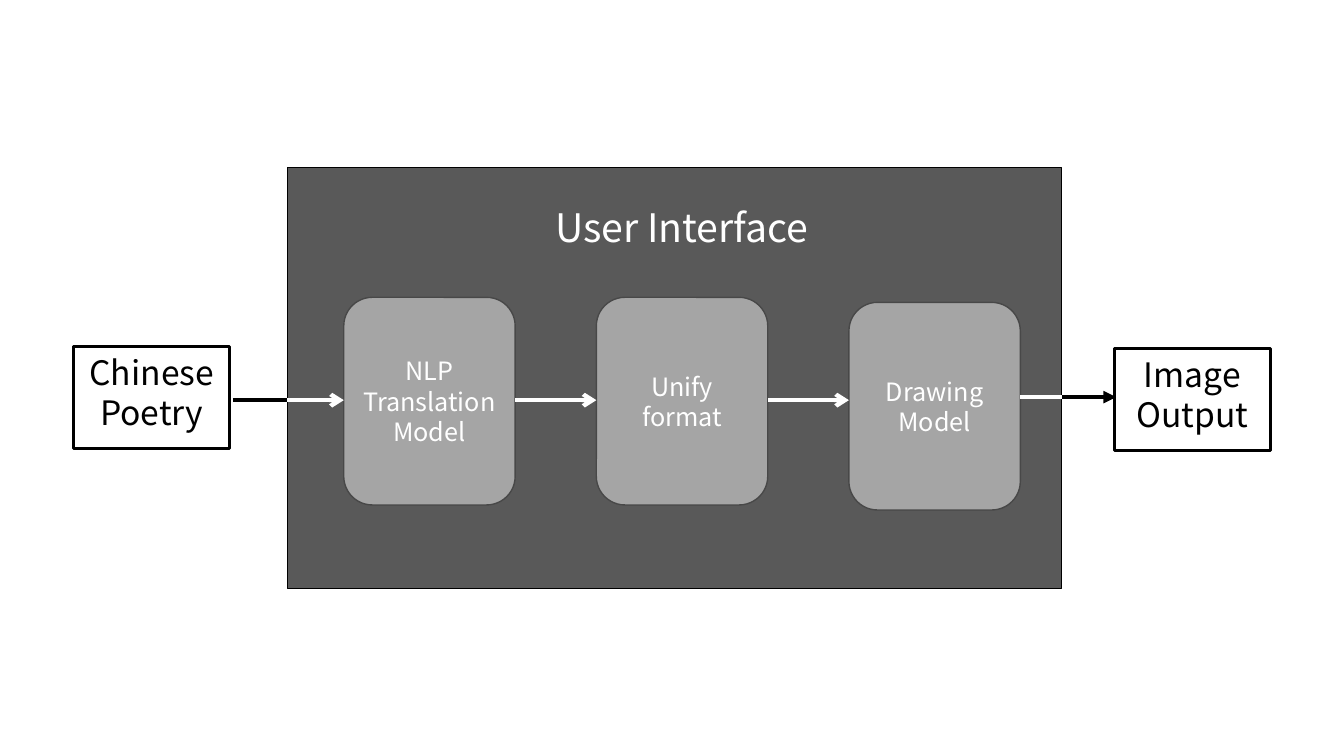
from dataclasses import dataclass
from pptx import Presentation
from pptx.dml.color import RGBColor as Rgb
from pptx.enum.shapes import MSO_CONNECTOR as Link, MSO_SHAPE as Kind
from pptx.enum.text import MSO_ANCHOR as Anchor, PP_ALIGN as Align
from pptx.oxml.ns import qn
from pptx.util import Inches, Pt
from lxml.etree import SubElement


@dataclass(frozen=True)
class Theme:
    font: str = "Noto Sans CJK SC"
    black: str = "000000"
    white: str = "FFFFFF"
    panel: str = "595959"
    step: str = "A5A5A5"
    edge: str = "484848"
    head: int = 28
    port: int = 24
    body: int = 18


LOOK = Theme()
WIDE, HIGH = 13.33, 7.5
STEPS = ("NLP Translation Model", "Unify format", "Drawing Model")


def write(shape, text, size, color, anchor=Anchor.MIDDLE):
    frame = shape.text_frame
    frame.word_wrap = True
    frame.vertical_anchor = anchor
    para = frame.paragraphs[0]
    para.alignment = Align.CENTER
    run = para.add_run()
    run.text = text
    font = run.font
    font.name, font.size = LOOK.font, Pt(size)
    font.color.rgb = Rgb.from_string(color)
    props = run._r.get_or_add_rPr()
    SubElement(props, qn("a:ea")).set("typeface", LOOK.font)


def draw(slide, kind, box, edge, weight, fill=None):
    shape = slide.shapes.add_shape(kind, *map(Inches, box))
    shape.shadow.inherit = False
    if fill:
        shape.fill.solid()
        shape.fill.fore_color.rgb = Rgb.from_string(fill)
    else:
        shape.fill.background()
    shape.line.color.rgb = Rgb.from_string(edge)
    shape.line.width = Pt(weight)
    return shape


def join(slide, start, end, y, color, tip=None):
    """Draw a level line from start to end, with an optional arrowhead."""
    ends = map(Inches, (start, y, end, y))
    link = slide.shapes.add_connector(Link.STRAIGHT, *ends)
    link.line.color.rgb = Rgb.from_string(color)
    link.line.width = Pt(3)
    props = link._element.spPr
    if tip:
        SubElement(link.line._get_or_add_ln(), qn("a:tailEnd")).set("type", tip)
    SubElement(props, qn("a:effectLst"))


def port(slide, box, text):
    shape = draw(slide, Kind.RECTANGLE, box, LOOK.black, 2)
    write(shape, text, LOOK.port, LOOK.black, Anchor.TOP)


def panel(slide, box, flow, exit_y):
    """Draw the interface panel, its steps and the arrows inside it."""
    left, top, width, height = box
    draw(slide, Kind.RECTANGLE, box, LOOK.black, 1, LOOK.panel)
    head = slide.shapes.add_textbox(
        *map(Inches, (left + 0.22, top + 0.31, width - 0.3, 0.63)))
    write(head, "User Interface", LOOK.head, LOOK.white, Anchor.TOP)

    size, pitch, first = 1.7, 2.505, left + 0.56
    last = len(STEPS) - 1
    start = left
    for col, text in enumerate(STEPS):
        x = first + col * pitch
        y = top + (1.34 if col == last else 1.29)
        step = draw(slide, Kind.ROUNDED_RECTANGLE, (x, y, size, 2.06),
                    LOOK.edge, 1, LOOK.step)
        write(step, text, LOOK.body, LOOK.white)
        join(slide, start, x, flow, LOOK.white, "arrow")
        start = x + size
    join(slide, start, left + width, exit_y, LOOK.white)


def diagram(slide):
    flow, out = 3.97, 3.94
    box = left, top, width, height = 2.85, 1.66, 7.68, 4.18
    right = left + width
    panel(slide, box, flow, out)
    port(slide, (0.73, 3.44, 1.55, 1.01), "Chinese Poetry")
    join(slide, 2.31, left, flow, LOOK.black)
    port(slide, (right + 0.52, 3.46, 1.55, 1.01), "Image Output")
    join(slide, right, right + 0.54, out, LOOK.black, "triangle")


def main():
    deck = Presentation()
    deck.slide_width, deck.slide_height = Inches(WIDE), Inches(HIGH)
    diagram(deck.slides.add_slide(deck.slide_layouts[6]))
    deck.save("out.pptx")


if __name__ == "__main__":
    main()
